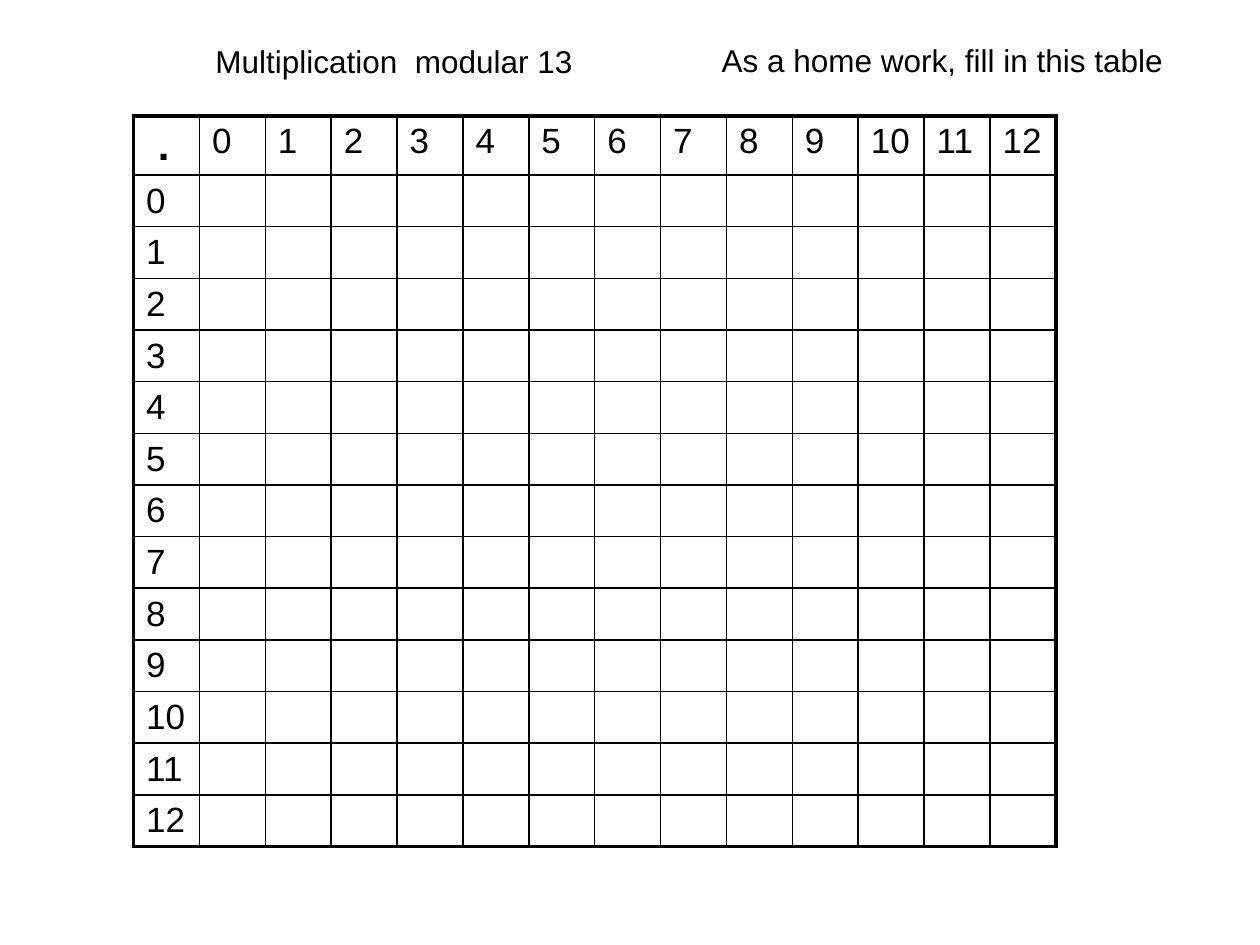
import pptx
import pptx.dml.color
import pptx.enum.text
import pptx.oxml
import pptx.oxml.ns
import pptx.util

Inches = pptx.util.Inches
Pt = pptx.util.Pt
BLACK = pptx.dml.color.RGBColor(0x00, 0x00, 0x00)

MODULUS = 13
THIN, THICK = 1, 2.25


class SlideBuilder:
    """Holds the text style and the current slide."""

    font_name = "Arial"
    color = BLACK

    def __init__(self, slide):
        self.slide = slide

    def style(self, p, size, bold=False):
        p.font.name = self.font_name
        p.font.size = Pt(size)
        p.font.bold = bold
        p.font.color.rgb = self.color

    def fill_text(self, sp, text, left, top, width, height, size):
        sp.left, sp.top = Inches(left), Inches(top)
        sp.width, sp.height = Inches(width), Inches(height)
        tf = sp.text_frame
        tf.text = text
        tf.word_wrap = True
        tf.auto_size = pptx.enum.text.MSO_AUTO_SIZE.NONE
        tf.vertical_anchor = pptx.enum.text.MSO_ANCHOR.TOP
        p = tf.paragraphs[0]
        p.alignment = pptx.enum.text.PP_ALIGN.LEFT
        self.style(p, size)

    def title(self, text, *box, size=18):
        self.fill_text(self.slide.shapes.title, text, *box, size)

    def text(self, text, *box, size=18):
        sp = self.slide.shapes.add_textbox(0, 0, 0, 0)
        self.fill_text(sp, text, *box, size)

    def border(self, cell, side, width):
        ln = pptx.oxml.parse_xml(
            f'<a:ln{side} {pptx.oxml.ns.nsdecls("a")} w="{int(Pt(width))}">'
            f'<a:solidFill><a:srgbClr val="{self.color}"/></a:solidFill>'
            f'</a:ln{side}>')
        cell._tc.get_or_add_tcPr().append(ln)

    def grid(self, left, top, width, count, header_height, row_height):
        height = header_height + (count - 1) * row_height
        table = self.slide.shapes.add_table(
            count, count, Inches(left), Inches(top),
            Inches(width), Inches(height)).table
        table.first_row = table.horz_banding = False
        for column in table.columns:
            column.width = int(Inches(width) / count)
        for i, row in enumerate(table.rows):
            row.height = Inches(row_height if i else header_height)
        return table

    def cell(self, cell, text, edges, size=20, bold=False):
        cell.text = text
        cell.margin_top, cell.margin_bottom = Inches(0.05), Inches(0.03)
        self.style(cell.text_frame.paragraphs[0], size, bold)
        for side, outer in edges.items():
            self.border(cell, side, THICK if outer else THIN)
        cell.fill.background()


prs = pptx.Presentation()
prs.slide_width, prs.slide_height = Inches(10), Inches(7.5)
s = SlideBuilder(prs.slides.add_slide(prs.slide_layouts[5]))

# Headings
s.title("Multiplication  modular 13", 1.61, 0.28, 3.62, 0.4)
s.text("As a home work, fill in this table", 5.63, 0.28, 3.96, 0.4)

# Multiplication table: labels in the first row and column, the rest empty
count = MODULUS + 1
table = s.grid(1.06, 0.92, 7.32, count, 0.47, 0.41)
for r in range(count):
    for c in range(count):
        edges = {"L": c == 0, "R": c == MODULUS,
                 "T": r == 0, "B": r == MODULUS}
        if r == c == 0:
            s.cell(table.cell(r, c), " .", edges, size=24, bold=True)
        else:
            label = "" if r and c else str(r + c - 1)
            s.cell(table.cell(r, c), label, edges)

prs.save("out.pptx")
